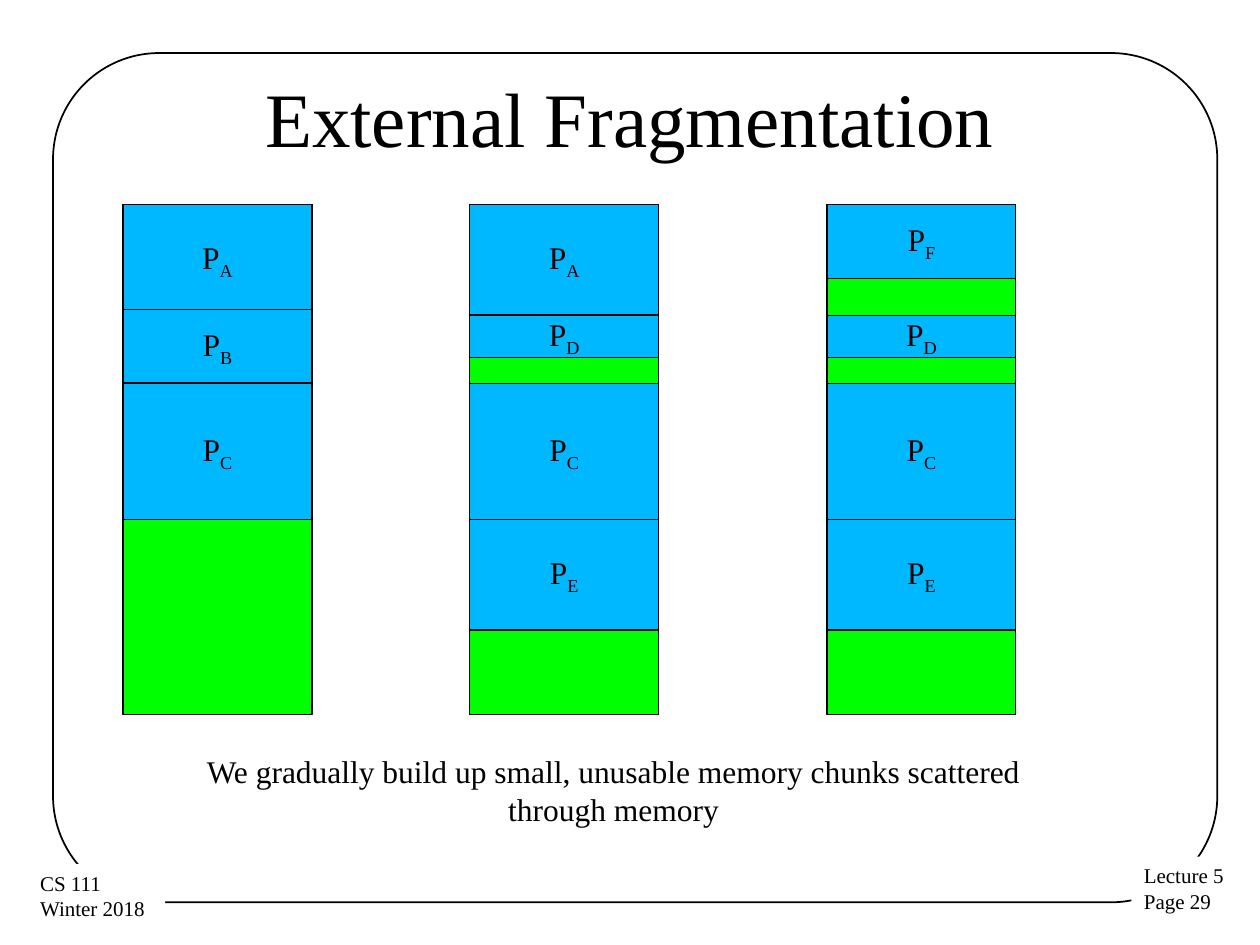
"""Build the External Fragmentation slide."""
from dataclasses import dataclass

from pptx import Presentation
from pptx import util as u
from pptx.dml.color import RGBColor
from pptx.enum import shapes, text


@dataclass(frozen=True)
class Theme:
    font: str = "Times New Roman"
    ink: RGBColor = RGBColor(0, 0, 0)
    paper: RGBColor = RGBColor(255, 255, 255)
    used: RGBColor = RGBColor(0, 0xB8, 255)
    free: RGBColor = RGBColor(0, 255, 0)
    title: int = 44
    body: int = 18
    footer: int = 12
    rule: float = 0.75
    frame: float = 1


@dataclass(frozen=True)
class Box:
    x: float
    y: float
    w: float
    h: float

    def lengths(self) -> list:
        return [u.Cm(v) for v in (self.x, self.y, self.w, self.h)]


@dataclass(frozen=True)
class Process:
    top: float
    height: float


@dataclass(frozen=True)
class Memory:
    x: float
    names: str


@dataclass(frozen=True)
class Label:
    box: Box
    lines: tuple
    size: int
    align: text.PP_ALIGN = text.PP_ALIGN.CENTER
    anchor: text.MSO_ANCHOR = text.MSO_ANCHOR.TOP
    wrap: bool = True
    fill: RGBColor | None = None


T = Theme()
TOP, WIDTH, HEIGHT = 4.13, 3.81, 10.28
PROCESSES = {
    "A": Process(TOP, 2.22),
    "B": Process(6.24, 1.48),
    "C": Process(7.73, 2.75),
    "D": Process(6.36, 0.85),
    "E": Process(10.48, 2.22),
    "F": Process(TOP, 1.48),
}
MEMORIES = (Memory(2.48, "ABC"), Memory(9.47, "ACDE"), Memory(16.67, "CDEF"))
FOOTER = {"size": T.footer, "align": text.PP_ALIGN.LEFT, "wrap": False, "fill": T.paper}
LABELS = (
    Label(Box(22.81, 17.27, 2.16, 1.3), ("Lecture 5", "Page 29"), **FOOTER),
    Label(Box(0.56, 17.42, 2.77, 1.3), ("CS 111", "Winter 2018"), **FOOTER),
    Label(Box(1.27, 0.76, 22.86, 3.18), ("External Fragmentation",), T.title,
          anchor=text.MSO_ANCHOR.MIDDLE),
    Label(Box(3.63, 15.04, 17.48, 2.31),
          ("We gradually build up small, unusable memory chunks scattered through memory",), T.body),
)


def set_format(target, values: dict) -> None:
    """Set each named attribute on the target."""
    for name, value in values.items():
        setattr(target, name, value)


def add_run(p, words: str, size: int):
    """Add a run in the theme font."""
    r = p.add_run()
    r.text = words
    set_format(r.font, {"name": T.font, "size": u.Pt(size)})
    r.font.color.rgb = T.ink
    return r


def add_block(s, box: Box, fill: RGBColor | None, line: float = T.rule,
              kind=shapes.MSO_SHAPE.RECTANGLE):
    """Draw an outlined shape without shadow."""
    sp = s.shapes.add_shape(kind, *box.lengths())
    sp.shadow.inherit = False
    if fill is None:
        sp.fill.background()
    else:
        sp.fill.solid()
        sp.fill.fore_color.rgb = fill
    sp.line.color.rgb = T.ink
    sp.line.width = u.Pt(line)
    return sp


def add_label(s, label: Label) -> None:
    """Draw a text box with one paragraph per line."""
    sp = s.shapes.add_textbox(*label.box.lengths())
    if label.fill is not None:
        sp.fill.solid()
        sp.fill.fore_color.rgb = label.fill
    tf = sp.text_frame
    set_format(tf, {"word_wrap": label.wrap, "vertical_anchor": label.anchor})
    for i, line in enumerate(label.lines):
        p = tf.add_paragraph() if i else tf.paragraphs[0]
        p.alignment = label.align
        add_run(p, line, label.size)


def add_memory(s, memory: Memory) -> None:
    """Draw free memory and the processes placed in it."""
    add_block(s, Box(memory.x, TOP, WIDTH, HEIGHT), T.free)
    for name in memory.names:
        process = PROCESSES[name]
        sp = add_block(s, Box(memory.x, process.top, WIDTH, process.height), T.used)
        tf = sp.text_frame
        set_format(tf, {"word_wrap": False, "vertical_anchor": text.MSO_ANCHOR.MIDDLE})
        p = tf.paragraphs[0]
        p.alignment = text.PP_ALIGN.CENTER
        add_run(p, "P", T.body)
        add_run(p, name, T.body).font._element.set("baseline", "-25000")


def main() -> None:
    """Build and save the slide."""
    prs = Presentation()
    set_format(prs, {"slide_width": u.Cm(25.4), "slide_height": u.Cm(19.05)})
    s = prs.slides.add_slide(prs.slide_layouts[6])
    frame = add_block(s, Box(1.07, 1.07, 23.47, 17.12), None, T.frame,
                      shapes.MSO_SHAPE.ROUNDED_RECTANGLE)
    frame.adjustments[0] = 0.125
    for label in LABELS:
        add_label(s, label)
    for memory in MEMORIES:
        add_memory(s, memory)
    prs.save("out.pptx")


if __name__ == "__main__":
    main()
